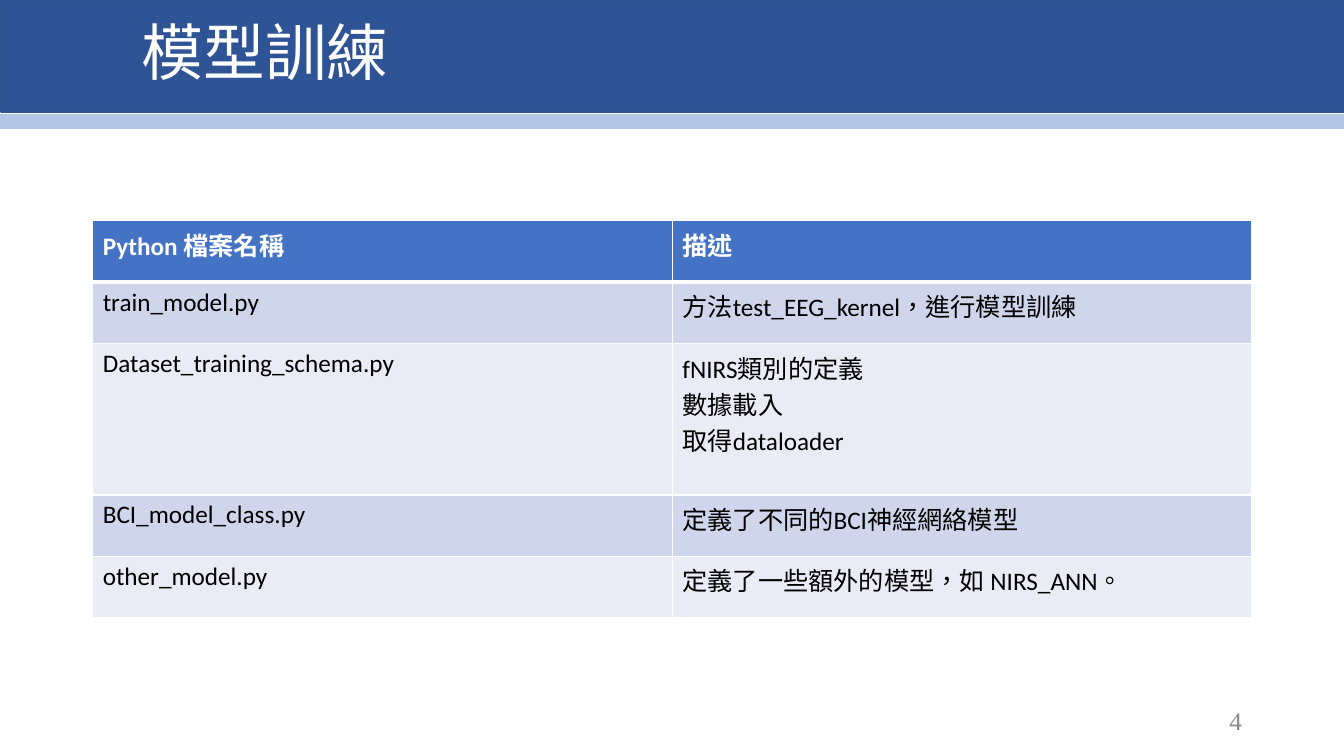
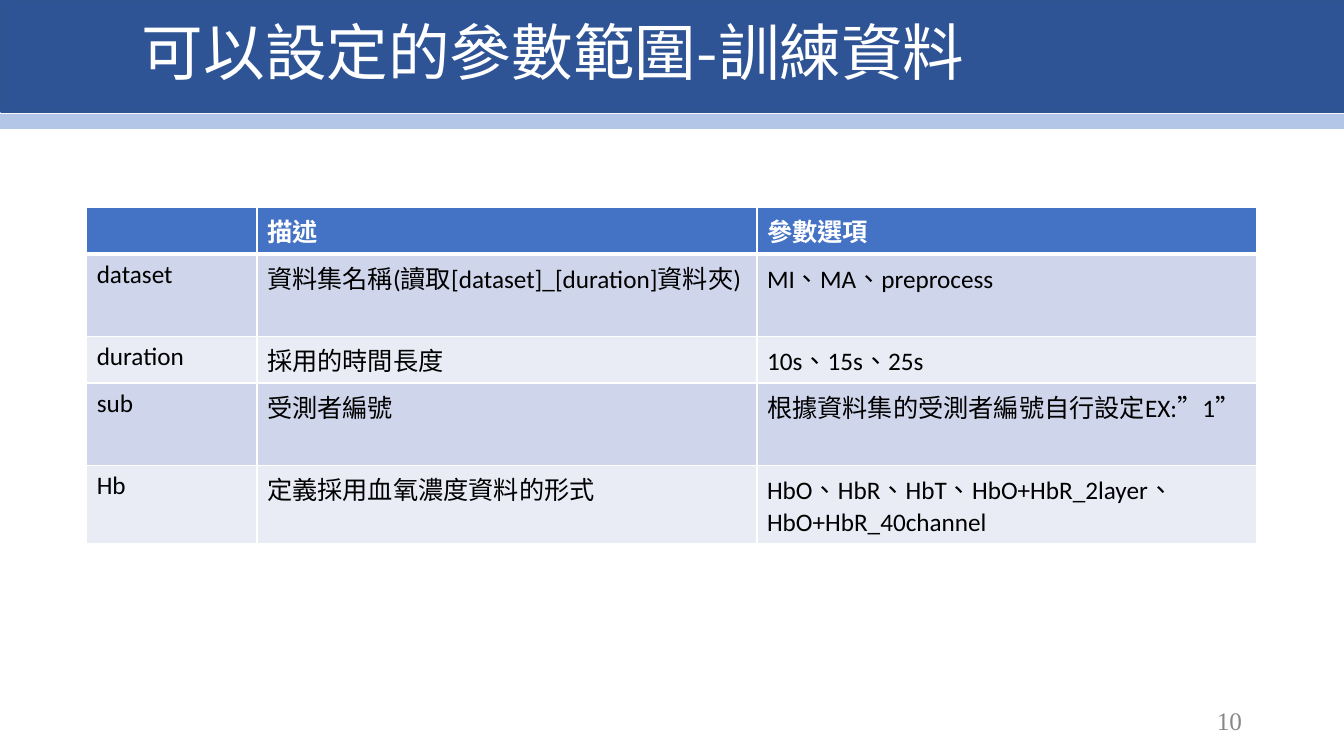
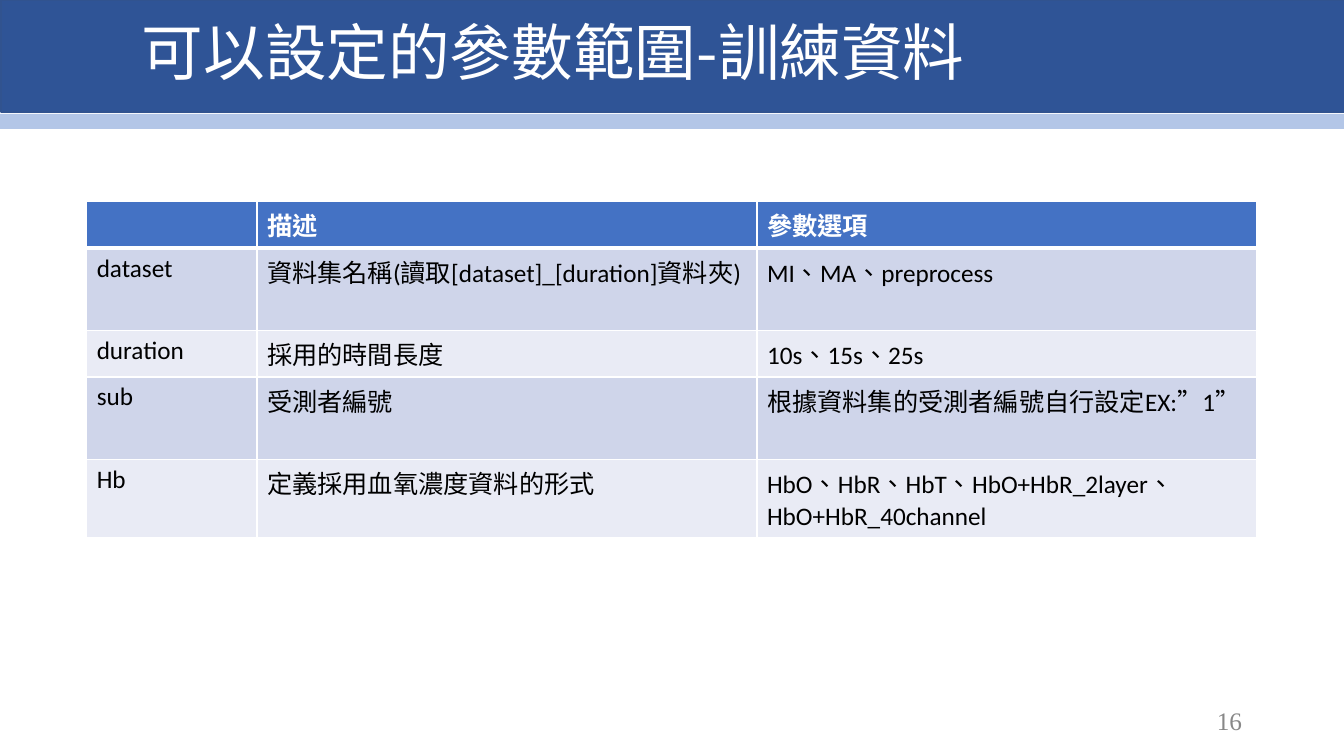
import pptx
import pptx.util
import pptx.dml.color
import pptx.enum.lang
import pptx.enum.shapes
import pptx.enum.text
import pptx.oxml.ns
import lxml.etree

Inches = pptx.util.Inches
Pt = pptx.util.Pt

COLORS = {
    "white": "FFFFFF", "black": "000000", "gray": "888888",
    "band": "2F5496", "band_edge": "31538F", "stripe": "B3C6E7",
    "header": "4472C4", "odd_row": "CFD5EA", "even_row": "E9EBF5",
}
CJK_FONT = "Noto Sans CJK SC"
SLIDE_WIDTH = 40 / 3  # 16:9 at 7.5 inches high


def rgb(name):
    return pptx.dml.color.RGBColor.from_string(COLORS[name])


def add_text(paragraph, text, size, font, color, bold=False):
    run = paragraph.add_run()
    run.text = text
    run.font.size = Pt(size)
    run.font.bold = bold
    run.font.color.rgb = rgb(color)
    run.font.name = font
    run.font.language_id = pptx.enum.lang.MSO_LANGUAGE_ID.TRADITIONAL_CHINESE
    east_asian = lxml.etree.Element(pptx.oxml.ns.qn("a:ea"), typeface=CJK_FONT)
    run.font._element.find(pptx.oxml.ns.qn("a:latin")).addnext(east_asian)


# Content: title, page number, table place, column widths, row heights, rows
training_files = [
    ["Python 檔案名稱", "描述"],
    ["train_model.py", "方法test_EEG_kernel，進行模型訓練"],
    ["Dataset_training_schema.py", "fNIRS類別的定義\n數據載入\n取得dataloader"],
    ["BCI_model_class.py", "定義了不同的BCI神經網絡模型"],
    ["other_model.py", "定義了一些額外的模型，如 NIRS_ANN。"],
]
data_parameters = [
    ["", "描述", "參數選項"],
    ["dataset", "資料集名稱(讀取[dataset]_[duration]資料夾)", "MI、MA、preprocess"],
    ["duration", "採用的時間長度", "10s、15s、25s"],
    ["sub", "受測者編號", "根據資料集的受測者編號自行設定EX:”1”"],
    ["Hb", "定義採用血氧濃度資料的形式", "HbO、HbR、HbT、HbO+HbR_2layer、HbO+HbR_40channel"],
]
parameter_title = "可以設定的參數範圍-訓練資料"
parameter_columns = [1.69, 4.96, 4.96]
parameter_rows = [0.46, 0.82, 0.46, 0.82, 0.77]
pages = [
    ("模型訓練", "4", (0.92, 2.19), [5.75, 5.75], [0.61, 0.61, 1.5, 0.61, 0.61], training_files),
    (parameter_title, "10", (0.86, 2.06), parameter_columns, parameter_rows, data_parameters),
    (parameter_title, "16", (0.86, 2), parameter_columns, parameter_rows, data_parameters),
]
bands = [
    (0.01, 0, 1.11, "band", "band_edge"),
    (0, 1.13, 0.15, "stripe", None),
]

deck = pptx.Presentation()
deck.slide_width = Inches(SLIDE_WIDTH)
deck.slide_height = Inches(7.5)

for title, number, (left, top), widths, heights, rows in pages:
    slide = deck.slides.add_slide(deck.slide_layouts[6])

    # Top bands
    for x, y, height, fill, edge in bands:
        band = slide.shapes.add_shape(
            pptx.enum.shapes.MSO_SHAPE.RECTANGLE, Inches(x), Inches(y), Inches(SLIDE_WIDTH), Inches(height))
        band.shadow.inherit = False
        band.fill.solid()
        band.fill.fore_color.rgb = rgb(fill)
        if edge:
            band.line.color.rgb = rgb(edge)
            band.line.width = Pt(1)
        else:
            band.line.fill.background()

    # Title and page number
    for text, box, size, font, color, align, spacing in [
        (title, (1.31, -0.17, 11.5, 1.45), 44, CJK_FONT, "white", "LEFT", 0.9),
        (number, (9.42, 6.95, 3, 0.4), 18, "Times New Roman", "gray", "RIGHT", 1.0),
    ]:
        frame = slide.shapes.add_textbox(*[Inches(v) for v in box]).text_frame
        frame.word_wrap = True
        frame.vertical_anchor = pptx.enum.text.MSO_ANCHOR.MIDDLE
        line = frame.paragraphs[0]
        line.alignment = pptx.enum.text.PP_ALIGN[align]
        line.line_spacing = spacing
        add_text(line, text, size, font, color)

    # Table
    table = slide.shapes.add_table(
        len(rows), len(widths), Inches(left), Inches(top),
        Inches(sum(widths)), Inches(sum(heights))).table
    for column, width in zip(table.columns, widths):
        column.width = Inches(width)
    for r, (row, height) in enumerate(zip(rows, heights)):
        table.rows[r].height = Inches(height)
        fill = "header" if r == 0 else "odd_row" if r % 2 else "even_row"
        for c, content in enumerate(row):
            cell = table.cell(r, c)

            # White borders, thicker below the header
            properties = cell._tc.get_or_add_tcPr()
            for side in ["lnL", "lnR", "lnT", "lnB"]:
                thick = (r, side) in [(0, "lnB"), (1, "lnT")]
                border = lxml.etree.SubElement(
                    properties, pptx.oxml.ns.qn("a:" + side), w=str(Pt(3 if thick else 1)))
                paint = lxml.etree.SubElement(border, pptx.oxml.ns.qn("a:solidFill"))
                lxml.etree.SubElement(paint, pptx.oxml.ns.qn("a:srgbClr"), val=COLORS["white"])
            cell.fill.solid()
            cell.fill.fore_color.rgb = rgb(fill)

            if not content:
                continue
            for i, text in enumerate(content.split("\n")):
                line = cell.text_frame.add_paragraph() if i else cell.text_frame.paragraphs[0]
                add_text(line, text, 18, "Calibri", "black" if r else "white", bold=r == 0)

deck.save("out.pptx")
